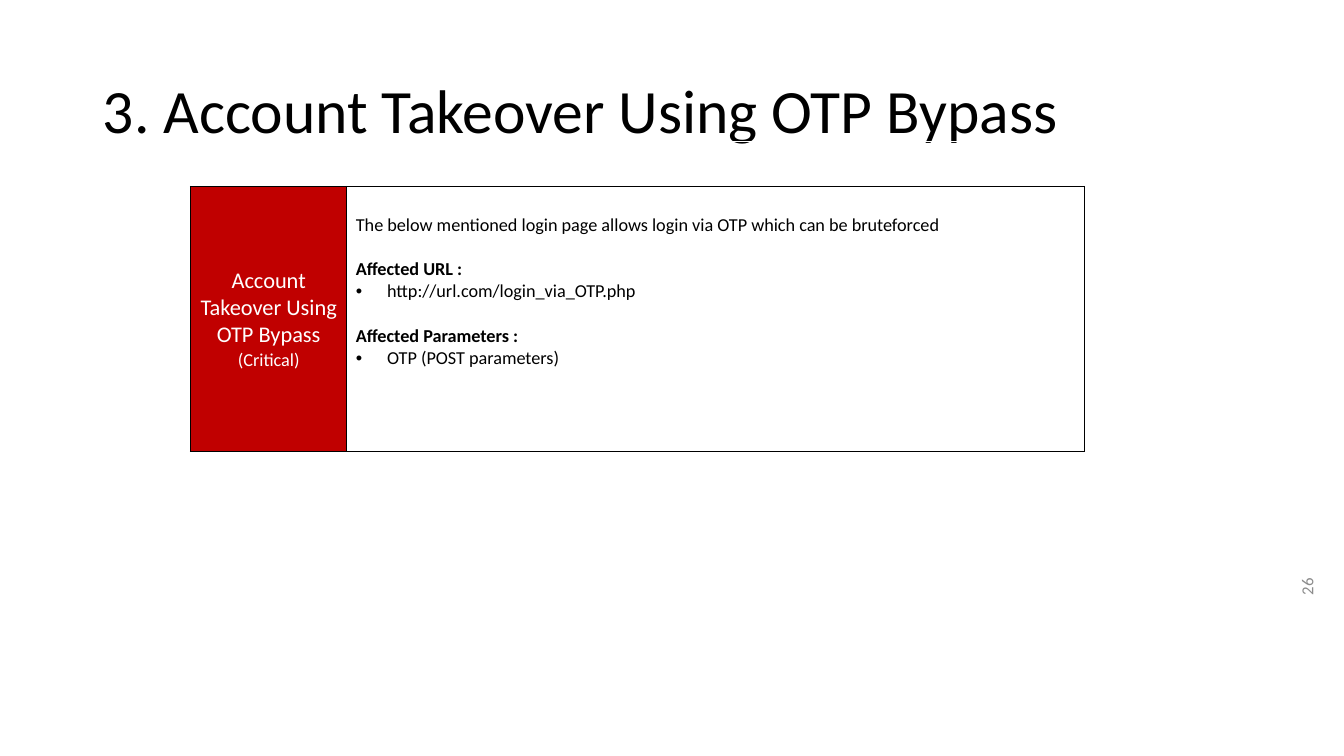
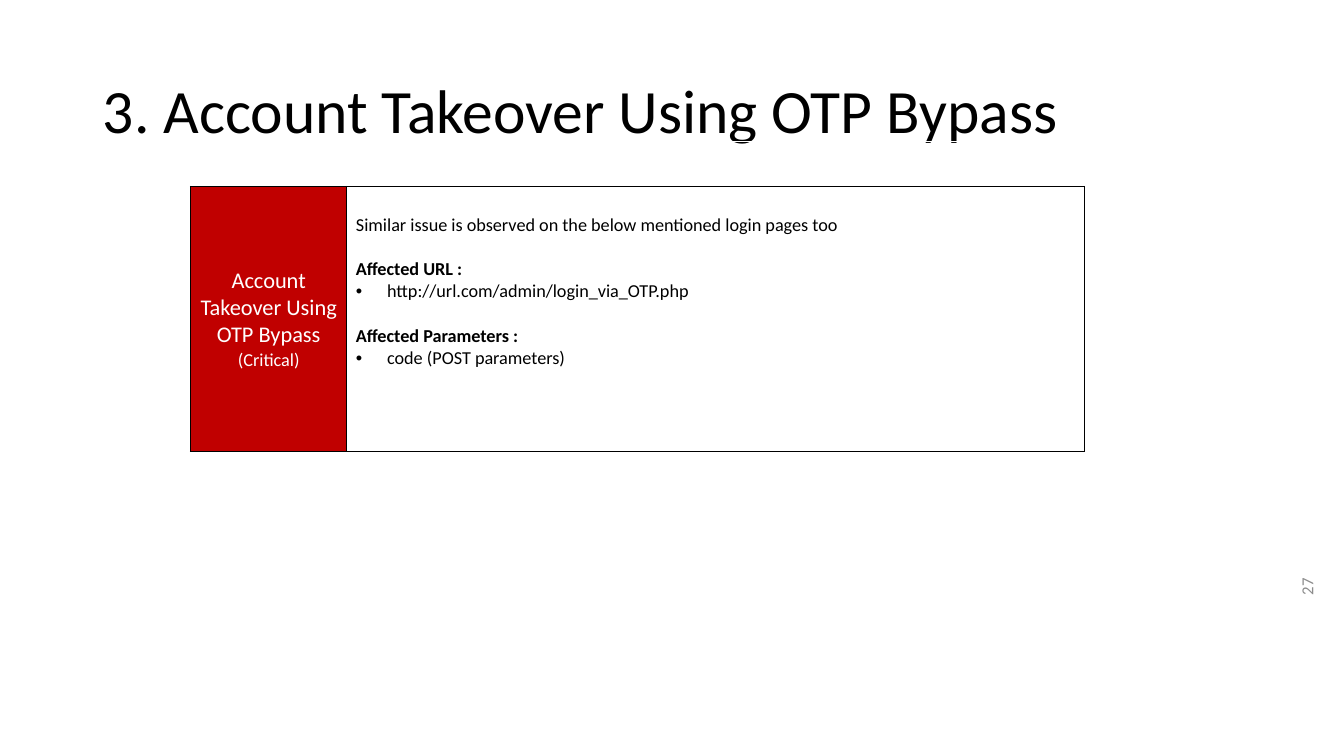
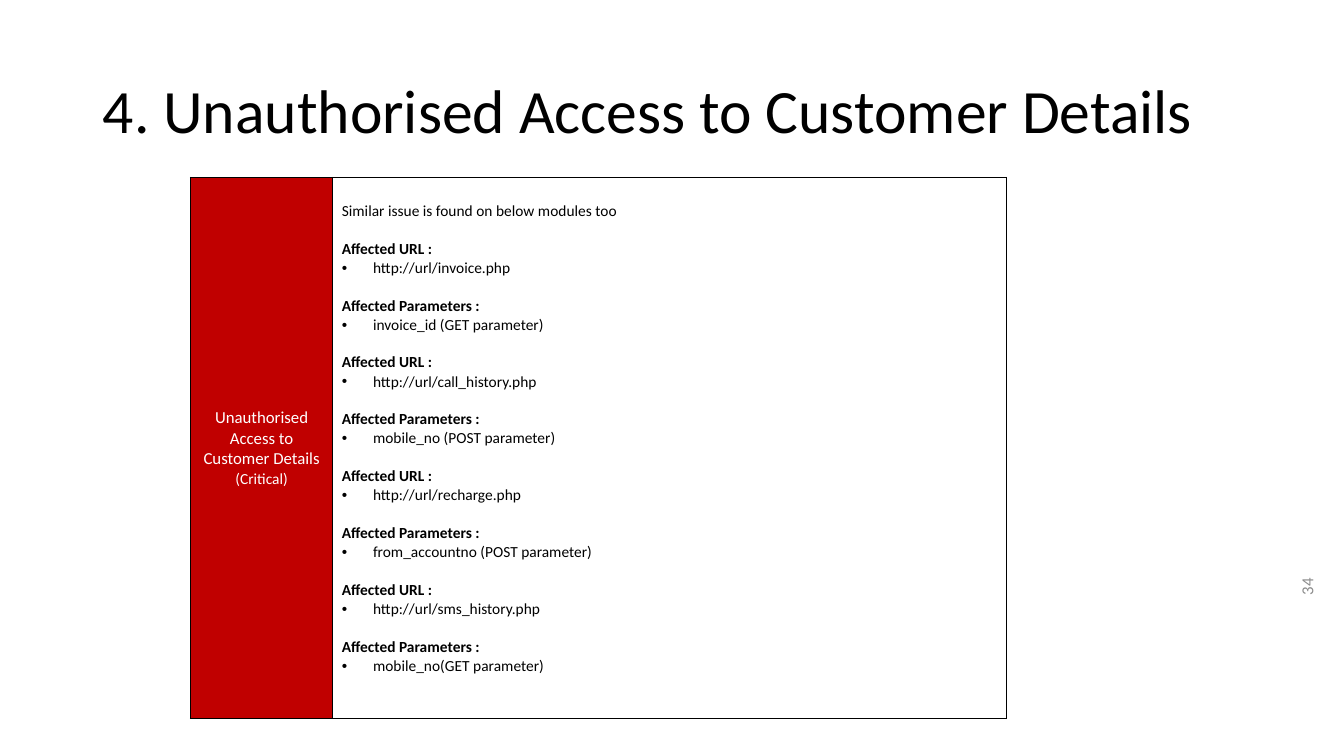
import pptx
import pptx.util
import pptx.dml.color
import pptx.enum.text
import pptx.oxml
import pptx.oxml.ns
from lxml import etree

Inches, Pt = pptx.util.Inches, pptx.util.Pt
ALIGN = pptx.enum.text.PP_ALIGN
ANCHOR = pptx.enum.text.MSO_ANCHOR
COLORS = {"ink": "000000", "paper": "FFFFFF", "alert": "C00000", "page": "8C8C8C"}
FACE = "Calibri"
LEADING = 1.23  # line height as a share of the text size
URL, PARAM = "Affected URL :", "Affected Parameters :"

# Shared boxes: left, top, width, height
TITLE_BOX = (0.92, 0.4, 11.5, 1.45)
PAGE_BOX = (12.24, 6.11, 1.44, 0.5)

OTP = {
    "title": "3. Account Takeover Using OTP Bypass",
    "label": "Account Takeover Using OTP Bypass",
    "sizes": (16, 13),
    "cols": (1.55, 7.32),
    "rows": (0.45, 2.63),
}
SLIDES = [
    {
        **OTP,
        "page": "26",
        "intro": "The below mentioned login page allows login via OTP which can be bruteforced",
        "items": [("http://url.com/login_via_OTP.php", "OTP (POST parameters)")],
    },
    {
        **OTP,
        "page": "27",
        "intro": "Similar issue is observed on the below mentioned login pages too",
        "items": [("http://url.com/admin/login_via_OTP.php", "code (POST parameters)")],
    },
    {
        "title": "4. Unauthorised Access to Customer Details",
        "label": "Unauthorised Access to Customer Details",
        "sizes": (12, 11),
        "cols": (1.41, 6.68),
        "rows": (0.36, 5.37),
        "page": "34",
        "intro": "Similar issue is found on below modules too",
        "items": [
            ("http://url/invoice.php", "invoice_id (GET parameter)"),
            ("http://url/call_history.php", "mobile_no (POST parameter)"),
            ("http://url/recharge.php", "from_accountno (POST parameter)"),
            ("http://url/sms_history.php", "mobile_no(GET parameter)"),
        ],
    },
]


def apply(obj, **values):
    for name, value in values.items():
        setattr(obj, name, value)


def place(shape, box):
    names = ("left", "top", "width", "height")
    apply(shape, **dict(zip(names, map(Inches, box))))


def write(para, text, size, color="ink", bold=False):
    run = para.add_run()
    run.text = text
    apply(run.font, name=FACE, size=Pt(size), bold=bold)
    run.font.color.rgb = pptx.dml.color.RGBColor.from_string(COLORS[color])


def bullet(para):
    props = para._p.get_or_add_pPr()
    props.set("marL", str(Inches(0.31)))
    props.set("indent", str(-Inches(0.31)))
    for tag, key, value in (("a:buFont", "typeface", "Arial"), ("a:buChar", "char", "•")):
        etree.SubElement(props, pptx.oxml.ns.qn(tag)).set(key, value)


def border(cell, sides):
    props = cell._tc.get_or_add_tcPr()
    for side in sides:
        props.append(pptx.oxml.parse_xml(
            f'<a:ln{side} {pptx.oxml.ns.nsdecls("a")} w="12700"><a:solidFill>'
            f'<a:srgbClr val="{COLORS["ink"]}"/></a:solidFill></a:ln{side}>'))


def paint(cell, color):
    border(cell, "LRTB")
    cell.fill.solid()
    cell.fill.fore_color.rgb = pptx.dml.color.RGBColor.from_string(COLORS[color])
    apply(cell, margin_left=Inches(0.09), margin_right=Inches(0.09),
          margin_top=Inches(0.05), margin_bottom=Inches(0.05))


def add_title(slide, text, box):
    title = slide.shapes.title
    place(title, box)
    frame = title.text_frame
    apply(frame, vertical_anchor=ANCHOR.MIDDLE, word_wrap=True,
          auto_size=pptx.enum.text.MSO_AUTO_SIZE.NONE)
    para = frame.paragraphs[0]
    apply(para, alignment=ALIGN.LEFT, line_spacing=0.9)
    write(para, text, 44)


def add_page(slide, text, box):
    shape = slide.shapes.add_textbox(*map(Inches, box))
    shape.rotation = 270
    apply(shape.text_frame, word_wrap=True, vertical_anchor=ANCHOR.MIDDLE)
    para = shape.text_frame.paragraphs[0]
    para.alignment = ALIGN.RIGHT
    write(para, text, 12, "page")


def fill_label(cell, text, sizes):
    paint(cell, "alert")
    cell.vertical_anchor = ANCHOR.MIDDLE
    para = cell.text_frame.paragraphs[0]
    para.alignment = ALIGN.CENTER
    write(para, text, sizes[0], "paper")
    para.add_line_break()
    write(para, "(Critical)", sizes[1], "paper")


def fill_detail(cell, intro, items, size):
    paint(cell, "paper")
    gap = Pt(size * LEADING)
    cell.margin_top = Inches(0.05) + gap
    frame = cell.text_frame
    write(frame.paragraphs[0], intro, size)
    for pair in items:
        for head, text in zip((URL, PARAM), pair):
            para = frame.add_paragraph()
            para.space_before = gap
            write(para, head, size, bold=True)
            para = frame.add_paragraph()
            bullet(para)
            write(para, text, size)


def add_table(slide, data, left, top):
    cols, rows = data["cols"], data["rows"]
    table = slide.shapes.add_table(
        2, 2, *map(Inches, (left, top, sum(cols), sum(rows)))).table
    apply(table, first_row=False, horz_banding=False)
    for parts, name, sizes in ((table.columns, "width", cols), (table.rows, "height", rows)):
        for part, size in zip(parts, sizes):
            setattr(part, name, Inches(size))
    # Empty top row, ruled below only
    for cell in table.rows[0].cells:
        border(cell, "B")
        cell.fill.background()
        apply(cell, margin_top=0, margin_bottom=0)
    fill_label(table.cell(1, 0), data["label"], data["sizes"])
    fill_detail(table.cell(1, 1), data["intro"], data["items"], data["sizes"][1])


def add_finding(deck, data):
    slide = deck.slides.add_slide(deck.slide_layouts[5])
    add_page(slide, data["page"], PAGE_BOX)
    add_title(slide, data["title"], TITLE_BOX)
    add_table(slide, data, 1.89, 1.4)


def main():
    deck = pptx.Presentation()
    apply(deck, slide_width=Inches(13.33), slide_height=Inches(7.5))
    for data in SLIDES:
        add_finding(deck, data)
    deck.save("out.pptx")


if __name__ == "__main__":
    main()
